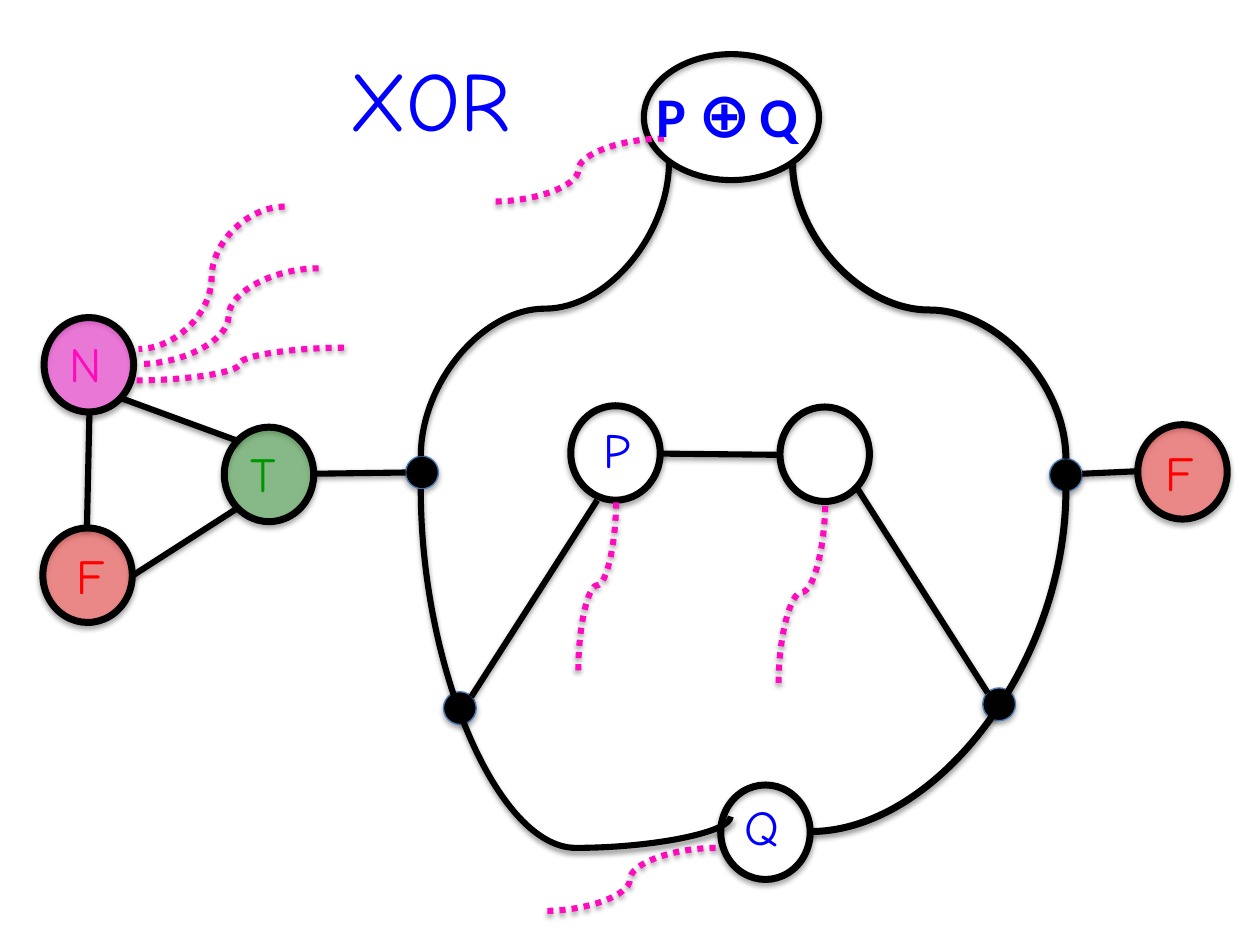
from lxml import etree
from pptx import Presentation
from pptx import util as u
from pptx.dml.color import RGBColor
from pptx.enum import dml, shapes, text
from pptx.oxml import ns

BLACK, BLUE, PINK, RED = "000000", "0000FF", "FF0BBE", "FF0000"
color = RGBColor.from_string
cell = u.Inches  # the slide is a grid of 10 columns by 7.5 rows, one inch each

deck = Presentation()
deck.slide_width, deck.slide_height = cell(10), cell(7.5)
page = deck.slides.add_slide(deck.slide_layouts[6])


def finish(item, line, width, strength, distance):
    """Set the line and the soft shadow below a shape or connector."""
    item.line.color.rgb = color(line)
    item.line.width = u.Pt(width)
    effects = etree.SubElement(item._element.spPr, ns.qn("a:effectLst"))
    shadow = etree.SubElement(effects, ns.qn("a:outerShdw"), blurRad=str(u.Pt(3.1)),
                              dist=str(u.Pt(distance)), dir="5400000", rotWithShape="0")
    tone = etree.SubElement(shadow, ns.qn("a:srgbClr"), val=BLACK)
    etree.SubElement(tone, ns.qn("a:alpha"), val=str(strength * 1000))


def add_text(runs, left, top, width, height, font="Comic Neue", bold=False,
             align=text.PP_ALIGN.LEFT, anchor=text.MSO_ANCHOR.TOP, grow=True):
    """Add a one-line box; runs are (wording, size, colour)."""
    box = page.shapes.add_textbox(cell(left), cell(top), cell(width), cell(height))
    frame = box.text_frame
    frame.word_wrap = not grow
    frame.auto_size = text.MSO_AUTO_SIZE.SHAPE_TO_FIT_TEXT if grow else text.MSO_AUTO_SIZE.NONE
    frame.vertical_anchor = anchor
    para = frame.paragraphs[0]
    para.alignment = align
    for wording, size, tint in runs:
        span = para.add_run()
        span.text = wording
        span.font.name, span.font.size, span.font.bold = font, u.Pt(size), bold
        span.font.color.rgb = color(tint)


# Circles: left, top, width, height, fill, opacity in percent, line width
node = (0.71, 0.75)
circles = [
    (0.35, 2.52, *node, "FF04D6", 45, 4),
    (0.34, 4.19, *node, RED, 39, 4),
    (1.78, 3.39, *node, "008000", 39, 4),
    (9.03, 3.37, *node, RED, 39, 4),
    (4.53, 3.22, *node, None, 0, 4),
    (6.19, 3.23, *node, None, 0, 4),
    (5.72, 6.23, *node, None, 0, 4),
    (5.11, 0.43, 1.39, 1, None, 0, 3.5),
]
junctions = [(3.22, 3.62), (7.8, 5.46), (3.52, 5.49), (8.33, 3.64)]
circles += [(left, top, 0.26, 0.26, BLACK, 100, 0.75) for left, top in junctions]

for left, top, width, height, fill, opacity, weight in circles:
    circle = page.shapes.add_shape(shapes.MSO_SHAPE.OVAL, cell(left), cell(top),
                                   cell(width), cell(height))
    if fill:
        circle.fill.solid()
        circle.fill.fore_color.rgb = color(fill)
        tone = circle._element.spPr.find(ns.qn("a:solidFill"))[0]
        etree.SubElement(tone, ns.qn("a:alpha"), val=str(opacity * 1000))
    else:
        circle.fill.background()
    finish(circle, "4B7EBC" if fill == BLACK else BLACK, weight, 35, 1.8)

# Straight edges: from x, from y, to x, to y
edges = [
    (0.69, 4.19, 0.71, 3.27), (1.05, 4.57, 1.89, 4.03), (0.96, 3.16, 1.89, 3.5),
    (5.24, 3.6, 6.19, 3.61), (4.74, 3.97, 3.74, 5.53), (2.49, 3.76, 3.22, 3.75),
    (6.8, 3.87, 7.84, 5.5), (8.59, 3.76, 9.03, 3.74),
]
for edge in edges:
    link = page.shapes.add_connector(shapes.MSO_CONNECTOR.STRAIGHT, *map(cell, edge))
    finish(link, BLACK, 3.5, 38, 1.6)

# Curves that leave sideways: ends, colour, width, geometry
sideways = [
    (2.53, 2.13, 1.1, 2.89), (2.26, 1.64, 1.1, 2.77), (2.73, 2.76, 1.07, 3.02),
    (5.68, 6.73, 4.32, 7.23), (5.27, 1.1, 3.91, 1.6),
]
curves = [(ends, PINK, 3.5, "curvedConnector3") for ends in sideways]
curves.append(((6.43, 6.6, 8.46, 3.89), BLACK, 4, "curvedConnector2"))
for ends, tint, weight, geometry in curves:
    curve = page.shapes.add_connector(shapes.MSO_CONNECTOR.CURVE, *map(cell, ends))
    curve._element.spPr.find(ns.qn("a:prstGeom")).set("prst", geometry)
    finish(curve, tint, weight, 38, 1.6)
    if tint == PINK:
        curve.line.dash_style = dml.MSO_LINE.ROUND_DOT

# Curves that leave upright: ends, colour, width, bend in thousandths of the span
upright = [
    ((5.31, 1.28, 3.34, 3.62), BLACK, 3.5, 500),
    ((5.8, 6.48, 3.34, 3.88), BLACK, 3.5, -96),
    ((8.46, 3.64, 6.29, 1.28), BLACK, 4, 500),
    ((4.59, 5.32, 4.89, 3.97), PINK, 3.5, 500),
    ((6.18, 5.42, 6.55, 3.98), PINK, 3.5, 500),
]
for (x1, y1, x2, y2), tint, weight, bend in upright:
    # A quarter turn swaps the sides of the frame around its centre
    across, down = abs(x2 - x1), abs(y2 - y1)
    left, top = (x1 + x2 - down) / 2, (y1 + y2 - across) / 2
    curve = page.shapes.add_connector(shapes.MSO_CONNECTOR.CURVE, cell(left), cell(top),
                                      cell(left + down), cell(top + across))
    frame = curve._element.spPr.find(ns.qn("a:xfrm"))
    frame.set("rot", "5400000")
    if y2 < y1:
        frame.set("flipH", "1")
    if x2 > x1:
        frame.set("flipV", "1")
    guides = curve._element.spPr.find(ns.qn("a:prstGeom")).find(ns.qn("a:avLst"))
    etree.SubElement(guides, ns.qn("a:gd"), name="adj1", fmla=f"val {bend * 100}")
    finish(curve, tint, weight, 38, 1.6)
    if tint == PINK:
        curve.line.dash_style = dml.MSO_LINE.ROUND_DOT

# Node labels: letter, colour, left, top, width
labels = [
    ("N", PINK, 0.45, 2.6, 0.51), ("F", RED, 0.51, 4.28, 0.44),
    ("T", "009600", 1.89, 3.47, 0.48), ("P", BLUE, 4.69, 3.28, 0.41),
    ("Q", BLUE, 5.81, 6.27, 0.55), ("F", RED, 9.15, 3.46, 0.44),
]
for letter, tint, left, top, width in labels:
    add_text([(letter, 28, tint)], left, top, width, 0.57)

add_text([("P ", 32, BLUE), ("⊕", 36, BLUE), (" ", 20, BLUE), ("Q", 32, BLUE)],
         5.11, 0.54, 1.4, 0.71, font="Calibri", bold=True)
add_text([("XOR", 48, BLUE)], 2.09, 0.19, 2.65, 1.17, align=text.PP_ALIGN.CENTER,
         anchor=text.MSO_ANCHOR.MIDDLE, grow=False)

deck.save("out.pptx")
